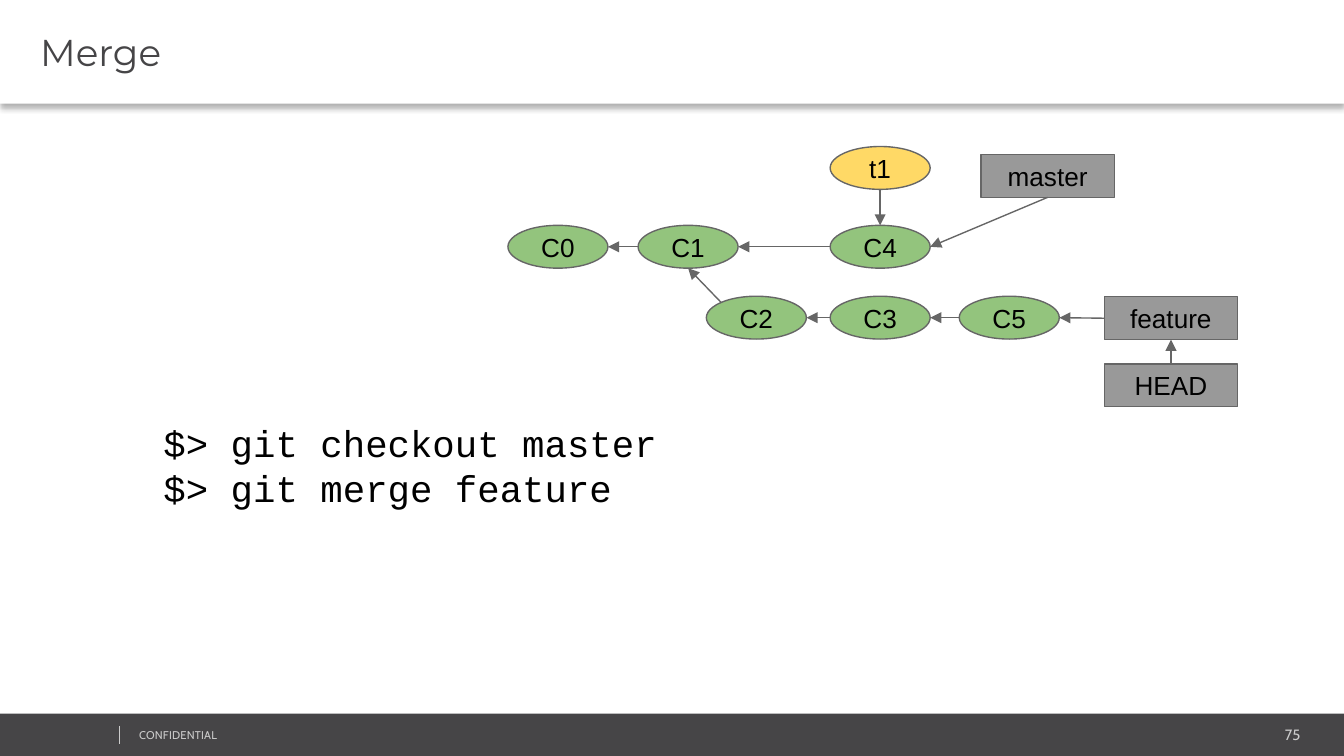
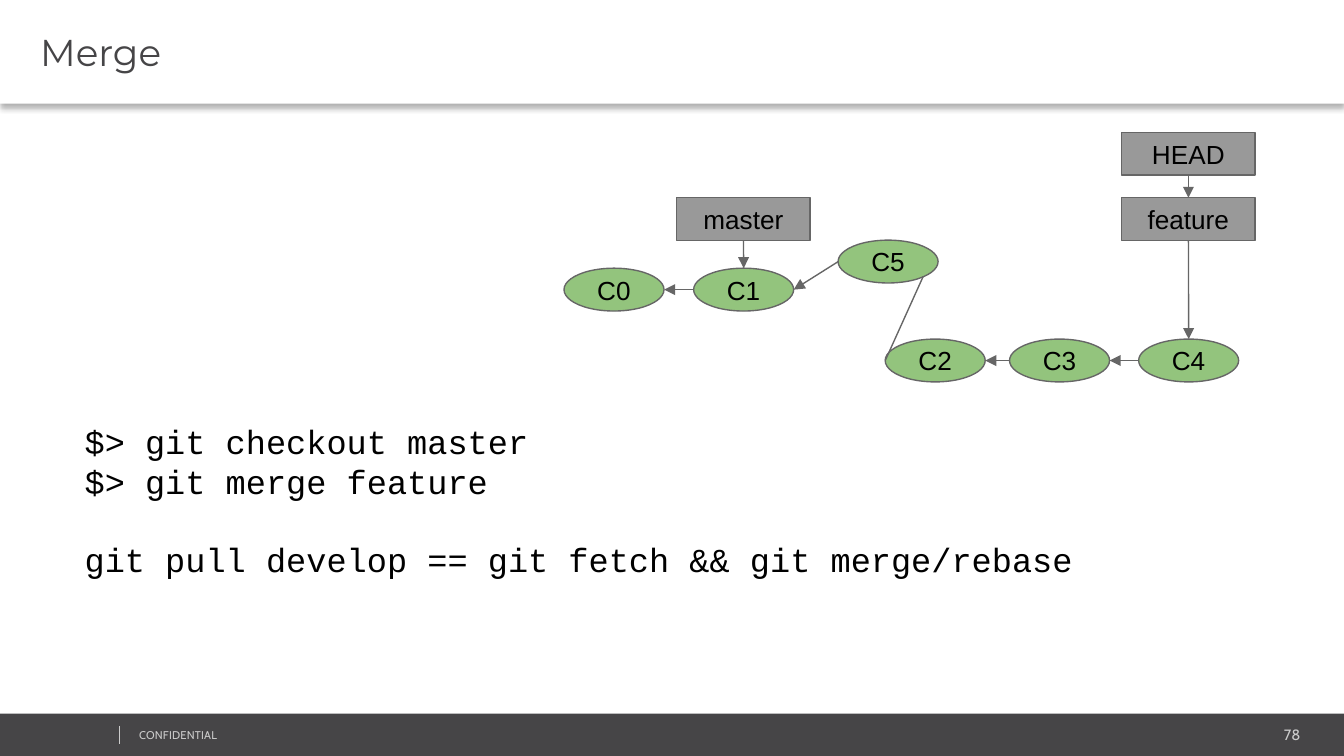
from dataclasses import dataclass

from lxml import etree
from pptx import Presentation
from pptx.dml.color import RGBColor
from pptx.enum import shapes, text
from pptx.oxml import ns
from pptx.util import Cm, Pt


@dataclass(frozen=True)
class Theme:
    dark: str = "464547"
    white: str = "FFFFFF"
    black: str = "000000"
    pale: str = "CCCCCC"
    edge: str = "666666"
    commit: str = "93C47D"
    tag: str = "FFD966"
    label: str = "999999"
    title_font: str = "Montserrat"
    footer_font: str = "Cabin"
    node_font: str = "Arial"
    code_font: str = "Courier New"
    title_size: float = 20
    node_size: float = 14
    number_size: float = 8
    footer_size: float = 6
    edge_width: float = 0.75


THEME = Theme()

# Content: nodes are (name, left, top) in cm; edges are (from, side, to, side, arrow)
PAGES = [
    {
        "title": "Merge",
        "number": "75",
        "commits": [("С0", 9.6, 4.26), ("С1", 12.06, 4.26), ("С4", 15.69, 4.26),
                    ("С2", 13.35, 5.6), ("С3", 15.69, 5.6), ("С5", 18.13, 5.6)],
        "tags": [("t1", 15.69, 2.77)],
        "labels": [("master", 18.54, 2.92), ("feature", 20.87, 5.61), ("HEAD", 20.87, 6.88)],
        "edges": [("С1", "left", "С0", "right", True),
                  ("С4", "left", "С1", "right", True),
                  ("С2", "upper left", "С1", "bottom", True),
                  ("С3", "left", "С2", "right", True),
                  ("С5", "left", "С3", "right", True),
                  ("t1", "bottom", "С4", "top", True),
                  ("master", "bottom", "С4", "right", True),
                  ("feature", "left", "С5", "right", True),
                  ("HEAD", "top", "feature", "bottom", True)],
        "code_box": (2.84, 7.7, 11.1, 4.14),
        "code_size": 20,
        "code": [["$> git checkout master", "$> git merge feature"]],
    },
    {
        "title": "Merge",
        "number": "78",
        "commits": [("С0", 10.66, 5.07), ("С1", 13.11, 5.07), ("С5", 15.84, 4.54),
                    ("С2", 16.73, 6.41), ("С3", 19.08, 6.41), ("С4", 21.52, 6.41)],
        "tags": [],
        "labels": [("master", 12.79, 3.74), ("feature", 21.2, 3.74), ("HEAD", 21.2, 2.5)],
        "edges": [("С1", "left", "С0", "right", True),
                  ("С5", "left", "С1", "right", True),
                  ("С5", "lower right", "С2", "left", False),
                  ("С3", "left", "С2", "right", True),
                  ("С4", "left", "С3", "right", True),
                  ("master", "bottom", "С1", "top", True),
                  ("HEAD", "bottom", "feature", "top", True),
                  ("feature", "bottom", "С4", "top", True)],
        "code_box": (1.35, 7.7, 21.1, 4.14),
        "code_size": 18,
        "code": [["$> git checkout master", "$> git merge feature"],
                 ["git pull develop == git fetch && git merge/rebase"]],
    },
]
FOOTER = "CONFIDENTIAL"

# Layout
PAGE_W, PAGE_H = 25.4, 14.29
TITLE_H = 1.96
BAND_TOP = 13.49
NODE_H = 0.81
COMMIT_W, LABEL_W = 1.89, 2.52
NODE_INSETS = (0.25, 0.25, 0.25, 0.25)
FOOTER_INSETS = (0.18, 0.1, 0.18, 0.1)
TITLE_INSETS = (0.76, 0.1, 0.18, 0.1)
CODE_LINE = 1.133  # line height of the code font, in ems

# Points on a node, as shares of its width and height
SIDES = {
    "top": (0.5, 0), "bottom": (0.5, 1), "left": (0, 0.5), "right": (1, 0.5),
    "upper left": (0.15, 0.15), "lower right": (0.85, 0.85),
}


def rgb(color):
    return RGBColor.from_string(color)


def set_text(shape, lines, font, size, color, insets,
             align=text.PP_ALIGN.LEFT, anchor=text.MSO_ANCHOR.TOP):
    frame = shape.text_frame
    frame.text = "\n".join(lines)
    frame.word_wrap = True
    frame.auto_size = text.MSO_AUTO_SIZE.NONE
    frame.vertical_anchor = anchor
    (frame.margin_left, frame.margin_top,
     frame.margin_right, frame.margin_bottom) = map(Cm, insets)
    for para in frame.paragraphs:
        para.alignment = align
        for span in para.runs:
            span.font.name = font
            span.font.size = Pt(size)
            span.font.color.rgb = rgb(color)
    return frame.paragraphs


def add_box(page, kind, box, fill, line=None):
    shape = page.shapes.add_shape(kind, *map(Cm, box))
    shape.shadow.inherit = False
    shape.fill.solid()
    shape.fill.fore_color.rgb = rgb(fill)
    if line:
        shape.line.color.rgb = rgb(line)
        shape.line.width = Pt(THEME.edge_width)
    else:
        shape.line.fill.background()
    return shape


def add_line(page, start, end, color, width, arrow=False):
    line = page.shapes.add_connector(
        shapes.MSO_CONNECTOR.STRAIGHT, *map(Cm, (*start, *end)))
    line.line.color.rgb = rgb(color)
    line.line.width = Pt(width)
    props = line._element.spPr
    if arrow:
        etree.SubElement(props.find(ns.qn("a:ln")), ns.qn("a:tailEnd"), type="triangle")
    etree.SubElement(props, ns.qn("a:effectLst"))


def add_title(page, title):
    shape = page.shapes.title
    shape.left, shape.top, shape.width, shape.height = map(Cm, (0, 0, PAGE_W, TITLE_H))
    shape.fill.solid()
    shape.fill.fore_color.rgb = rgb(THEME.white)
    set_text(shape, [title], THEME.title_font, THEME.title_size, THEME.dark,
             TITLE_INSETS, anchor=text.MSO_ANCHOR.MIDDLE)
    # Soft shadow below the title band
    shape.shadow.inherit = False
    effects = shape._element.spPr.find(ns.qn("a:effectLst"))
    shadow = etree.SubElement(effects, ns.qn("a:outerShdw"), blurRad=str(Pt(3.1)),
                              dist=str(Pt(2)), dir="5400000", algn="t", rotWithShape="0")
    tint = etree.SubElement(shadow, ns.qn("a:srgbClr"), val=THEME.black)
    etree.SubElement(tint, ns.qn("a:alpha"), val="30000")


def add_footer(page, number):
    add_box(page, shapes.MSO_SHAPE.RECTANGLE,
            (0, BAND_TOP, PAGE_W, PAGE_H - BAND_TOP), THEME.dark)
    number_box = page.shapes.add_textbox(*map(Cm, (20.62, 13.61, 4.14, 0.53)))
    set_text(number_box, [number], THEME.footer_font, THEME.number_size, THEME.pale,
             FOOTER_INSETS, align=text.PP_ALIGN.RIGHT)
    notice = page.shapes.add_textbox(*map(Cm, (2.45, 13.67, 6.43, 0.46)))
    para, = set_text(notice, [FOOTER], THEME.footer_font, THEME.footer_size, THEME.pale,
                     FOOTER_INSETS)
    para.runs[0].font._element.set("spc", "10")
    add_line(page, (2.26, 13.72), (2.26, 14.07), THEME.pale, 0.25)


def add_graph(page, content):
    oval, rect = shapes.MSO_SHAPE.OVAL, shapes.MSO_SHAPE.RECTANGLE
    styles = {
        "commits": (oval, COMMIT_W, THEME.commit),
        "tags": (oval, COMMIT_W, THEME.tag),
        "labels": (rect, LABEL_W, THEME.label),
    }
    boxes = {}
    for group, (kind, width, fill) in styles.items():
        for name, left, top in content[group]:
            boxes[name] = (left, top, width, NODE_H)
            node = add_box(page, kind, boxes[name], fill, THEME.edge)
            set_text(node, [name], THEME.node_font, THEME.node_size, THEME.black,
                     NODE_INSETS, text.PP_ALIGN.CENTER, text.MSO_ANCHOR.MIDDLE)

    def point(name, side):
        left, top, width, height = boxes[name]
        across, down = SIDES[side]
        return left + across * width, top + down * height

    for source, source_side, target, target_side, arrow in content["edges"]:
        add_line(page, point(source, source_side), point(target, target_side),
                 THEME.edge, THEME.edge_width, arrow)


def add_code(page, content):
    box = page.shapes.add_textbox(*map(Cm, content["code_box"]))
    size = content["code_size"]
    lines = [line for block in content["code"] for line in block]
    paras = set_text(box, lines, THEME.code_font, size, THEME.black, NODE_INSETS)
    # One line of space between blocks
    start = 0
    for block in content["code"][:-1]:
        start += len(block)
        paras[start].space_before = Pt(round(size * CODE_LINE, 1))


def main():
    deck = Presentation()
    deck.slide_width, deck.slide_height = Cm(PAGE_W), Cm(PAGE_H)
    title_only = deck.slide_layouts[5]
    for content in PAGES:
        page = deck.slides.add_slide(title_only)
        add_footer(page, content["number"])
        add_title(page, content["title"])
        add_graph(page, content)
        add_code(page, content)
    deck.save("out.pptx")


if __name__ == "__main__":
    main()
